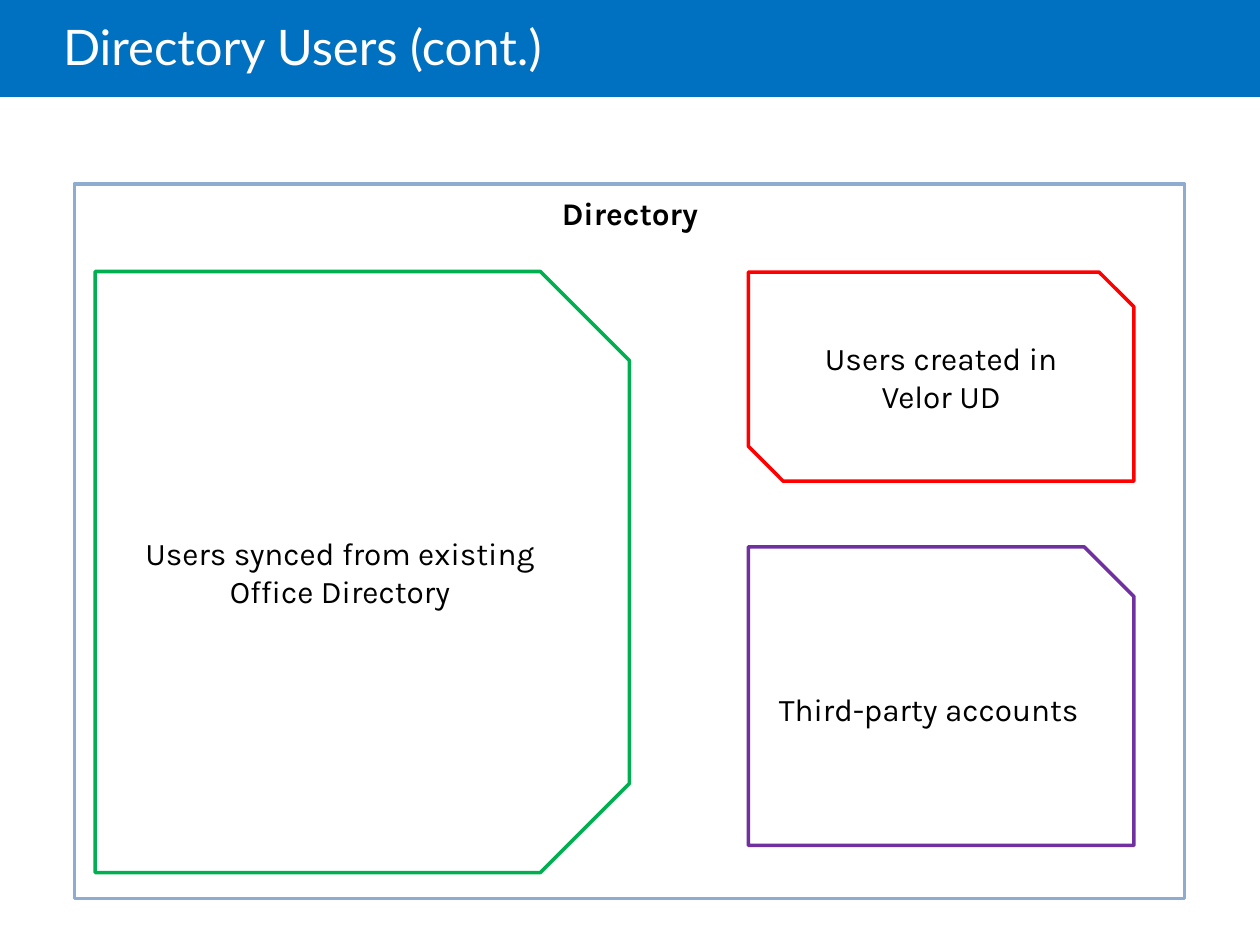
from pptx import Presentation
from pptx.dml.color import RGBColor
from pptx.enum.shapes import MSO_SHAPE
from pptx.enum.text import MSO_ANCHOR, PP_ALIGN
from pptx.util import Inches, Pt

RECT = MSO_SHAPE.RECTANGLE
SNIP_ONE = MSO_SHAPE.SNIP_1_RECTANGLE
SNIP_SAME = MSO_SHAPE.SNIP_2_SAME_RECTANGLE
SNIP_DIAG = MSO_SHAPE.SNIP_2_DIAG_RECTANGLE
MIDDLE = MSO_ANCHOR.MIDDLE
LEFT, CENTER = PP_ALIGN.LEFT, PP_ALIGN.CENTER

COLORS = {
    "banner": "0070C0",
    "white": "FFFFFF",
    "text": "000000",
    "directory": "8DACD0",
    "synced": "00B050",
    "created": "FF0000",
    "third_party": "7030A0",
}

prs = Presentation()
prs.slide_width, prs.slide_height = Inches(10), Inches(7.5)
slide = prs.slides.add_slide(prs.slide_layouts[5])


def add_box(preset, box, fill=None, line=None):
    shape = slide.shapes.add_shape(preset, *map(Inches, box))
    shape.shadow.inherit = False
    if fill:
        shape.fill.solid()
        shape.fill.fore_color.rgb = RGBColor.from_string(COLORS[fill])
    else:
        shape.fill.background()
    if line:
        shape.line.color.rgb = RGBColor.from_string(COLORS[line])
        shape.line.width = Pt(2)
    else:
        shape.line.fill.background()
    return shape


def write(frame, text, font="Karla", size=18, color="text", bold=False, align=CENTER):
    frame.text = text
    frame.word_wrap = True
    paragraph = frame.paragraphs[0]
    paragraph.alignment = align
    run_font = paragraph.runs[0].font
    run_font.name, run_font.size, run_font.bold = font, Pt(size), bold
    run_font.color.rgb = RGBColor.from_string(COLORS[color])


# Title on its banner
title = slide.shapes.title
title.left, title.top, title.width, title.height = map(Inches, (0.5, 0, 8.5, 0.81))
write(title.text_frame, "Directory Users (cont.)", "Lato", 28, "white", align=LEFT)
title.text_frame.vertical_anchor = MIDDLE
title.text_frame.margin_left = 0
title.text_frame.paragraphs[0].line_spacing = 0.85
banner = add_box(RECT, (0, 0, 10, 0.77), "banner")
title._element.addprevious(banner._element)

# Directory frame and its heading
add_box(RECT, (0.59, 1.46, 8.81, 5.67), "white", "directory")
heading = slide.shapes.add_textbox(*map(Inches, (3.63, 1.49, 2.74, 0.4)))
write(heading.text_frame, "Directory", bold=True)

# Kinds of users; the first is turned so that its snipped corners face right
user_groups = [
    (SNIP_SAME, (0.49, 2.42, 4.77, 4.24), None, "synced", 90,
     "Users synced from existing Office Directory"),
    (SNIP_DIAG, (5.94, 2.16, 3.06, 1.66), "white", "created", 0,
     "Users created in Velor UD"),
    (SNIP_ONE, (5.94, 4.34, 3.06, 2.37), "white", "third_party", 0,
     "Third-party accounts"),
]
for preset, box, fill, line, rotation, text in user_groups:
    group = add_box(preset, box, fill, line)
    frame = group.text_frame
    write(frame, text)
    frame.vertical_anchor = MIDDLE
    frame.margin_left = frame.margin_right = Inches(0.2)
    if rotation:
        group.rotation = rotation
        frame._txBody.bodyPr.set("vert", "vert270")

prs.save("out.pptx")
